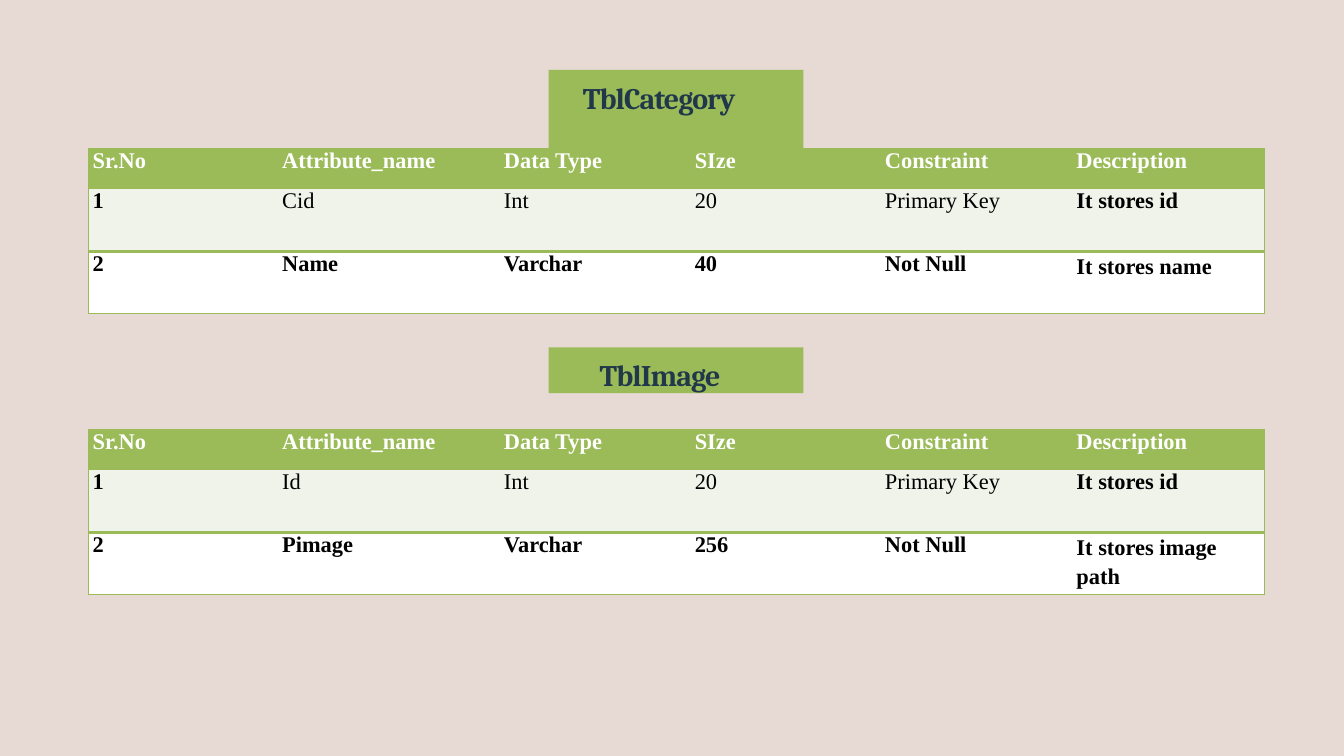
from lxml.etree import SubElement
from pptx import Presentation
from pptx.dml.color import RGBColor
from pptx.enum.text import MSO_ANCHOR, MSO_AUTO_SIZE, PP_ALIGN
from pptx.oxml.ns import qn
from pptx.util import Inches, Pt

GREEN, PALE, WHITE = "9BBB59", "EFF3EA", "FFFFFF"
LEFT, TABLE_WIDTH = 1.31, 17.5
COLUMNS = [2.82, 3.3, 2.84, 2.83, 2.85, 2.86]
ROWS = [0.6, 0.93, 0.93]
ROW_FILLS = [GREEN, PALE, WHITE]
RULES = [1, 1, 4, 1]  # widths of the horizontal rules, top to bottom
LAST = len(COLUMNS) - 1
HEADING_WIDTH = 3.79
HEADING_LEFT = LEFT + (TABLE_WIDTH - HEADING_WIDTH) / 2
HEADER = ["Sr.No", "Attribute_name", "Data Type", "SIze", "Constraint", "Description"]

# heading, its top, height and text indent, table top, table rows
SECTIONS = [
    ("TblCategory", 1.04, 1.17, 0.51, 2.21, [
        HEADER,
        ["1", "Cid", "Int", "20", "Primary Key", "It stores id"],
        ["2", "Name", "Varchar", "40", "Not Null", "It stores name"],
    ]),
    ("TblImage", 5.17, 0.68, 0.76, 6.39, [
        HEADER,
        ["1", "Id", "Int", "20", "Primary Key", "It stores id"],
        ["2", "Pimage", "Varchar", "256", "Not Null", "It stores image path"],
    ]),
]


def paint(fill, color):
    fill.solid()
    fill.fore_color.rgb = RGBColor.from_string(color)


def write(frame, text, font="Times New Roman", size=24, color="000000",
          bold=True, line_spacing=1.0, tracking=0):
    """Fill a text frame with one formatted paragraph; tracking is in points."""
    paragraph = frame.paragraphs[0]
    paragraph.alignment = PP_ALIGN.LEFT
    paragraph.line_spacing = line_spacing
    run = paragraph.add_run()
    run.text = text
    run.font.name = font
    run.font.size = Pt(size)
    run.font.bold = bold
    paint(run.font.fill, color)
    if tracking:
        run.font._element.set("spc", str(int(tracking * 100)))


presentation = Presentation()
presentation.slide_width, presentation.slide_height = Inches(20), Inches(11.25)
slide = presentation.slides.add_slide(presentation.slide_layouts[5])
paint(slide.background.fill, "E7D9D3")

for number, (heading, top, height, indent, table_top, rows) in enumerate(SECTIONS):
    # Heading: the first one is the slide's title
    box = slide.shapes.title if number == 0 else slide.shapes.add_textbox(0, 0, 0, 0)
    box.left, box.top = Inches(HEADING_LEFT), Inches(top)
    box.width, box.height = Inches(HEADING_WIDTH), Inches(height)
    paint(box.fill, GREEN)
    frame = box.text_frame
    frame.word_wrap = True
    frame.auto_size = MSO_AUTO_SIZE.NONE
    frame.vertical_anchor = MSO_ANCHOR.TOP
    frame.margin_left, frame.margin_top = Inches(indent), Inches(0.14)
    frame.margin_right = frame.margin_bottom = 0
    write(frame, heading, font="Cambria", size=32, color="21384A", tracking=-1)

    # Table
    table = slide.shapes.add_table(
        len(ROWS), len(COLUMNS), Inches(LEFT), Inches(table_top),
        Inches(TABLE_WIDTH), Inches(sum(ROWS))).table
    for column, width in zip(table.columns, COLUMNS):
        column.width = Inches(width)
    for row, row_height in zip(table.rows, ROWS):
        row.height = Inches(row_height)

    for r, values in enumerate(rows):
        for c, value in enumerate(values):
            cell = table.cell(r, c)
            cell.margin_left = Inches(0.07)
            cell.margin_right = cell.margin_top = cell.margin_bottom = 0
            write(cell.text_frame, value,
                  color=WHITE if r == 0 else "000000",
                  bold=r != 1 or c in (0, LAST),
                  line_spacing=1.15 if r == 2 and c == LAST else 1.0)

            # Borders come before the fill; inner vertical edges stay empty
            properties = cell._tc.get_or_add_tcPr()
            edges = {"L": c == 0, "R": c == LAST, "T": RULES[r], "B": RULES[r + 1]}
            for edge, points in edges.items():
                line = SubElement(properties, qn(f"a:ln{edge}"), w=str(Pt(int(points))))
                if points:
                    color = SubElement(line, qn("a:solidFill"))
                    SubElement(color, qn("a:srgbClr"), val=GREEN)
                else:
                    SubElement(line, qn("a:noFill"))
            paint(cell.fill, ROW_FILLS[r])

presentation.save("out.pptx")
